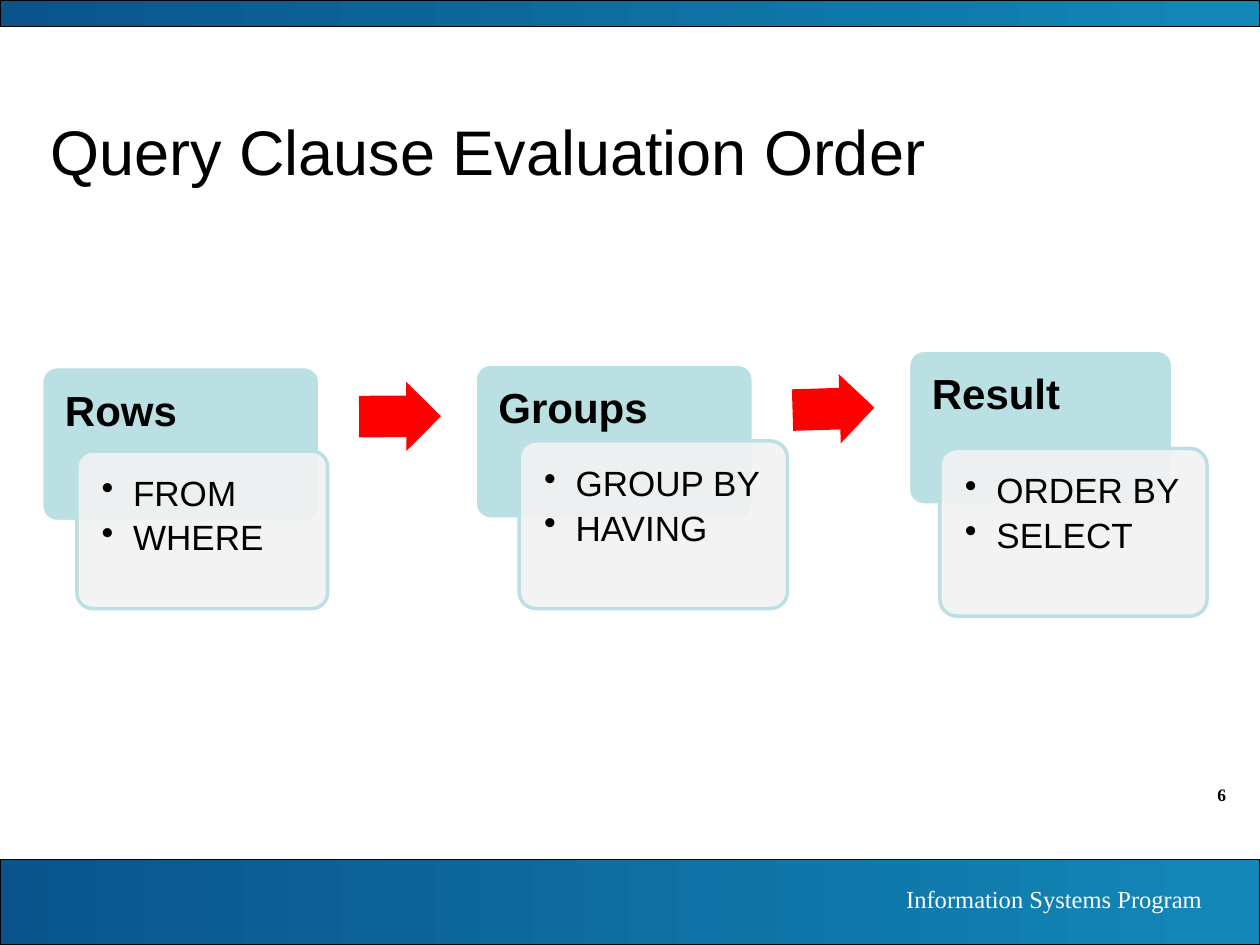
from dataclasses import dataclass
from lxml import etree
from pptx import Presentation
from pptx.dml.color import RGBColor
from pptx.enum.shapes import MSO_SHAPE
from pptx.enum.text import MSO_ANCHOR, PP_ALIGN
from pptx.oxml.ns import qn
from pptx.util import Inches, Pt

RECT, ROUND, ARROW = (MSO_SHAPE.RECTANGLE, MSO_SHAPE.ROUNDED_RECTANGLE,
                      MSO_SHAPE.RIGHT_ARROW)
TOP, MIDDLE = MSO_ANCHOR.TOP, MSO_ANCHOR.MIDDLE
LEFT, RIGHT = PP_ALIGN.LEFT, PP_ALIGN.RIGHT


@dataclass(frozen=True)
class Theme:
    sans: str = "Arial"
    serif: str = "Times New Roman"
    ink: str = "000000"
    paper: str = "FFFFFF"
    navy: str = "0A548C"
    blue: str = "1387B8"
    aqua: str = "BBE0E3"
    mist: str = "F2F2F2"
    red: str = "FF0000"
    title: int = 36
    head: int = 24
    item: int = 20
    foot: int = 14
    page: int = 10


T = Theme()

# Content
TITLE = "Query Clause Evaluation Order"
FOOTER = "Information Systems Program"
PAGE = "6"
# Heading, clauses, heading box, clause box
STAGES = [
    ("Rows", ["FROM", "WHERE"],
     (0.33, 2.91, 2.21, 1.23), (0.61, 3.58, 1.99, 1.25)),
    ("Groups", ["GROUP BY", "HAVING"],
     (3.77, 2.89, 2.21, 1.23), (4.12, 3.5, 2.13, 1.33)),
    ("Result", ["ORDER BY", "SELECT"],
     (7.21, 2.78, 2.1, 1.23), (7.46, 3.56, 2.12, 1.33)),
]
# Left, top, turn in degrees
ARROWS = [(2.85, 3.03, -0.3), (6.29, 2.97, -1.7)]

# Slide
W, H = 10, 7.5
deck = Presentation()
deck.slide_width, deck.slide_height = Inches(W), Inches(H)
slide = deck.slides.add_slide(deck.slide_layouts[6])


def rgb(code):
    return RGBColor.from_string(code)


def shape(kind, box, fill=None, line=None, width=2, adj=()):
    part = slide.shapes.add_shape(kind, *map(Inches, box))
    part.shadow.inherit = False
    for i, share in enumerate(adj):
        part.adjustments[i] = share
    if fill:
        part.fill.solid()
        part.fill.fore_color.rgb = rgb(fill)
    if line:
        part.line.color.rgb = rgb(line)
        part.line.width = Pt(width)
    else:
        part.line.fill.background()
    return part


def write(part, lines, size, font=T.sans, color=T.ink, bold=False, align=LEFT,
          anchor=TOP, inset=(0.1, 0.05, 0.1, 0.05), lead=1.0, after=0,
          bullet=False):
    frame = part.text_frame
    frame.word_wrap = True
    frame.vertical_anchor = anchor
    (frame.margin_left, frame.margin_top,
     frame.margin_right, frame.margin_bottom) = map(Inches, inset)
    for i, line in enumerate(lines):
        para = frame.add_paragraph() if i else frame.paragraphs[0]
        para.alignment, para.line_spacing = align, lead
        para.space_after = Pt(after)
        run = para.add_run()
        run.text = line
        run.font.name, run.font.size, run.font.bold = font, Pt(size), bold
        run.font.color.rgb = rgb(color)
        if bullet:
            props = para._p.get_or_add_pPr()
            props.set("marL", str(Inches(0.25)))
            props.set("indent", str(-Inches(0.25)))
            etree.SubElement(props, qn("a:buChar")).set("char", "•")


def label(box, line, size, **style):
    part = slide.shapes.add_textbox(*map(Inches, box))
    write(part, [line], size, anchor=MIDDLE, **style)


# Top and bottom bands
for top, high in [(6.82, H - 6.82), (0, 0.21)]:
    band = shape(RECT, (0, top, W, high), line=T.ink, width=0.75)
    band.fill.gradient()
    band.fill.gradient_angle = 0
    for stop, code in zip(band.fill.gradient_stops, (T.navy, T.blue)):
        stop.color.rgb = rgb(code)

# Title, page number and footer
label((0.3, 0.82, 9.17, 0.75), TITLE, T.title)
label((9, 6.17, 0.83, 0.27), PAGE, T.page, font=T.serif, bold=True,
      align=RIGHT)
label((5.55, 6.96, 4.09, 0.34), FOOTER, T.foot, font=T.serif, color=T.paper,
      align=RIGHT)

# Stages: a heading card with a translucent clause card over it
for head, items, back, front in STAGES:
    card = shape(ROUND, back, T.aqua, T.paper, adj=[0.1])
    write(card, [head], T.head, bold=True, lead=0.9,
          inset=(0.15, 0.15, 0.15, 0.1))
    card = shape(ROUND, front, T.mist, T.aqua, adj=[0.1])
    tint = card.fill._xPr.find(qn("a:solidFill"))[0]
    etree.SubElement(tint, qn("a:alpha")).set("val", "90000")
    write(card, items, T.item, lead=0.9, after=4, bullet=True,
          inset=(0.16, 0.16, 0.1, 0.16))

# Arrows between stages
for left, top, turn in ARROWS:
    arrow = shape(ARROW, (left, top, 0.65, 0.55), T.red, adj=[0.6, 0.5])
    arrow.rotation = turn

deck.save("out.pptx")
